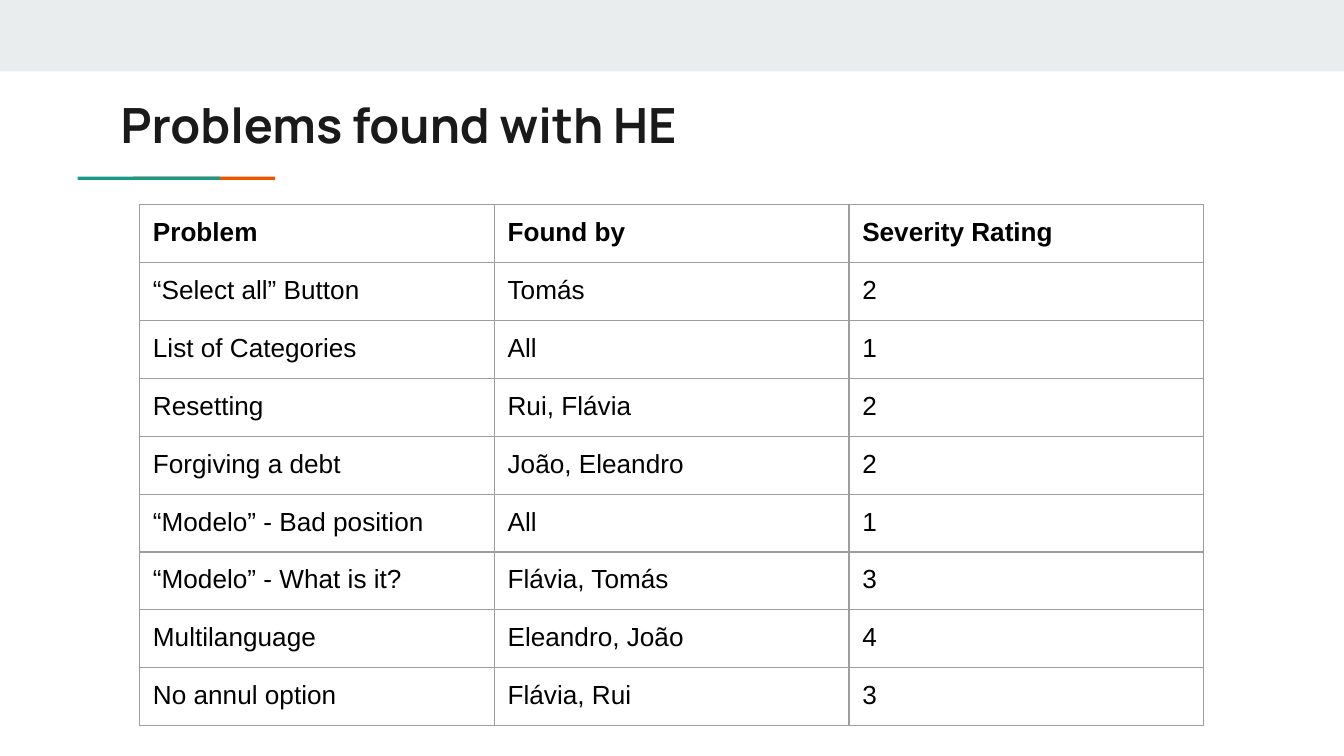
from pptx import Presentation
from pptx import util as u
from pptx.dml.color import RGBColor
from pptx.enum import shapes, text
from pptx.oxml import parse_xml
from pptx.oxml.ns import nsdecls

INSET = u.Cm(0.25)
ROWS = [
    ("Problem", "Found by", "Severity Rating"),
    ("“Select all” Button", "Tomás", "2"),
    ("List of Categories", "All", "1"),
    ("Resetting", "Rui, Flávia", "2"),
    ("Forgiving a debt", "João, Eleandro", "2"),
    ("“Modelo” - Bad position", "All", "1"),
    ("“Modelo” - What is it?", "Flávia, Tomás", "3"),
    ("Multilanguage", "Eleandro, João", "4"),
    ("No annul option", "Flávia, Rui", "3"),
]


def paint(color, tone):
    color.rgb = RGBColor.from_string(tone)


def style(run, face, size, tone, bold):
    run.font.name = face
    run.font.size = u.Pt(size)
    run.font.bold = bold
    paint(run.font.color, tone)


def add_bar(slide, box, tone):
    bar = slide.shapes.add_shape(shapes.MSO_SHAPE.RECTANGLE, *box)
    bar.shadow.inherit = False
    bar.fill.solid()
    paint(bar.fill.fore_color, tone)
    bar.line.fill.background()


def add_accent(slide, box):
    left, top, width, height = box
    step = u.Cm(1.04)
    for shift, tone in ((step, "EB5600"), (0, "1A9988")):
        add_bar(slide, (left + shift, top, width - step, height), tone)


def add_title(slide, box, words):
    frame = slide.shapes.add_textbox(*box).text_frame
    frame.word_wrap = True
    frame.vertical_anchor = text.MSO_ANCHOR.TOP
    frame.margin_left = frame.margin_right = INSET
    frame.margin_top = frame.margin_bottom = INSET
    frame.text = words
    style(frame.paragraphs[0].runs[0], "Manrope", 26, "1A1A1A", True)


def add_edges(cell, tone, width):
    props = cell._tc.get_or_add_tcPr()
    for spot, side in enumerate(("lnL", "lnR", "lnT", "lnB")):
        props.insert(spot, parse_xml(
            f'<a:{side} {nsdecls("a")} w="{u.Pt(width)}"><a:solidFill>'
            f'<a:srgbClr val="{tone}"/></a:solidFill></a:{side}>'))


def add_grid(slide, box, rows):
    left, top, width, height = box
    table = slide.shapes.add_table(
        len(rows), len(rows[0]), left, top, width, height).table
    table.first_row = table.horz_banding = False
    for r, row in enumerate(rows):
        for c, words in enumerate(row):
            cell = table.cell(r, c)
            cell.fill.background()
            cell.margin_left = cell.margin_right = INSET
            cell.margin_top = cell.margin_bottom = INSET
            cell.text = words
            style(cell.text_frame.paragraphs[0].runs[0],
                  "Arial", 14, "000000", r == 0)
            add_edges(cell, "9E9E9E", 0.75)


def main():
    deck = Presentation()
    deck.slide_width, deck.slide_height = u.Cm(25.4), u.Cm(14.29)
    slide = deck.slides.add_slide(deck.slide_layouts[6])
    add_bar(slide, (0, 0, deck.slide_width, u.Cm(1.35)), "E9EDEE")
    add_accent(slide, (u.Cm(1.47), u.Cm(3.34), u.Cm(3.73), u.Cm(0.06)))
    add_title(slide, (u.Cm(2.03), u.Cm(1.55), u.Cm(21.36), u.Cm(1.5)),
              "Problems found with HE")
    add_grid(slide, (u.Cm(2.64), u.Cm(3.87), u.Cm(20.11), u.Cm(9.54)), ROWS)
    deck.save("out.pptx")


if __name__ == "__main__":
    main()
